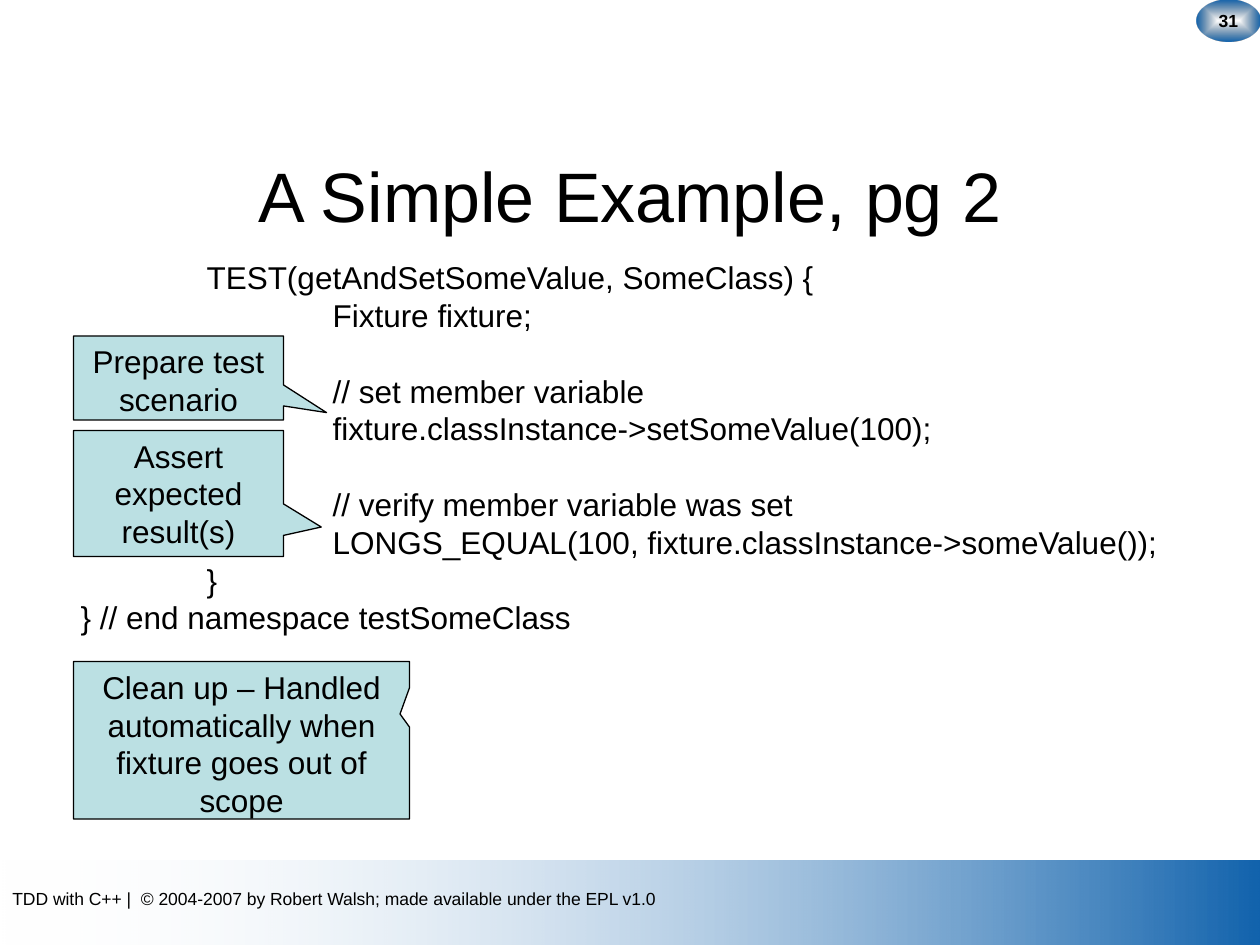
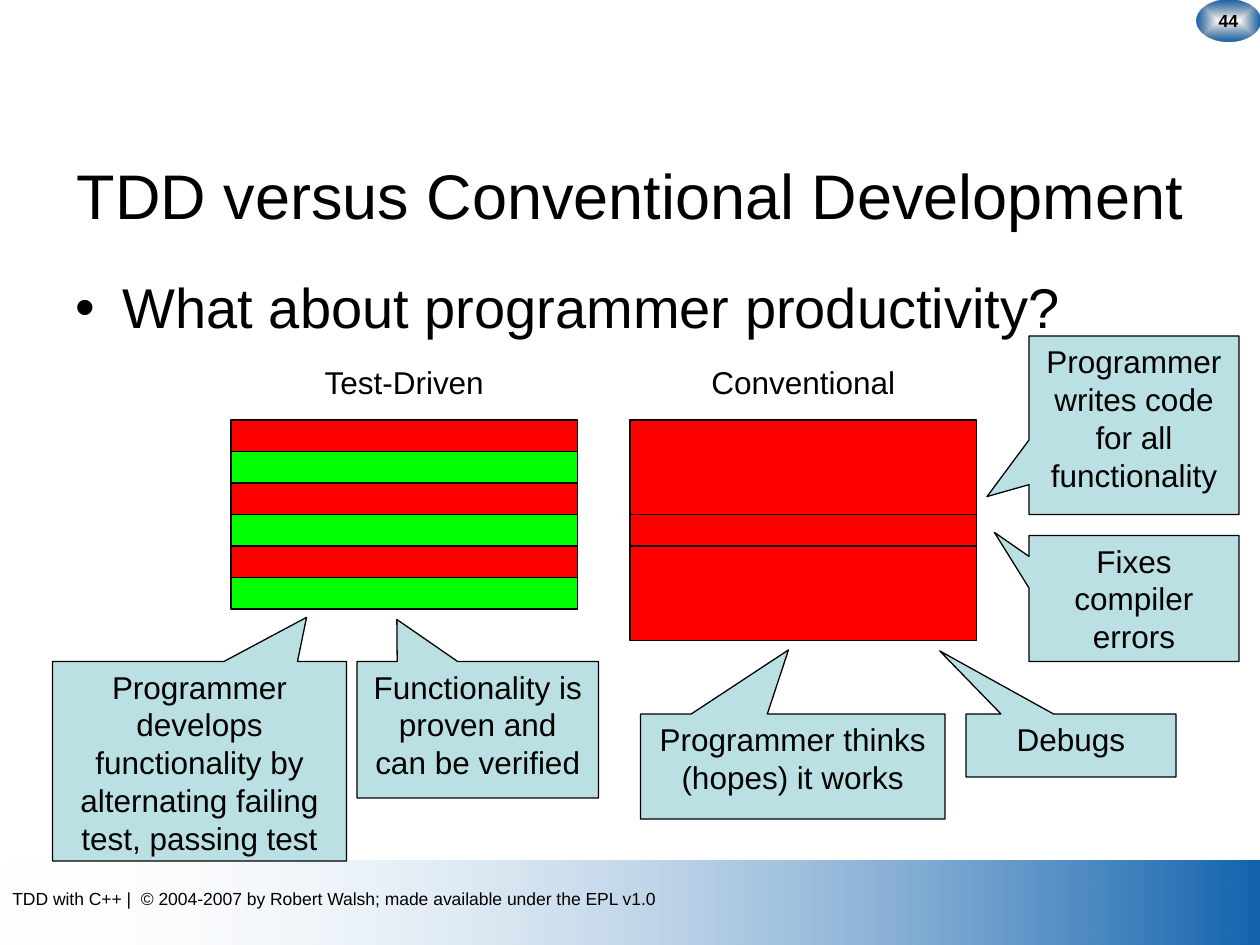
from pptx import Presentation
from pptx.dml.color import RGBColor
from pptx.enum.shapes import MSO_SHAPE as Shape
from pptx.enum.text import MSO_ANCHOR as Anchor, MSO_AUTO_SIZE as AutoSize, PP_ALIGN as Align
from pptx.oxml.ns import qn
from pptx.oxml.xmlchemy import OxmlElement
from pptx.util import Pt

PX = 7620
FONT = "Arial"
FOOTER = "TDD with C++ |  © 2004-2007 by Robert Walsh; made available under the EPL v1.0"
TITLE_ONLY, TITLE_AND_BODY = 5, 1
BODY_SIZE = 18
LINE_PITCH = Pt(21.6)

BLACK = RGBColor(0x00, 0x00, 0x00)
BLUE = RGBColor(0x12, 0x63, 0xAD)
NAVY = RGBColor(0x08, 0x2D, 0x4F)
PALE = RGBColor(0xFE, 0xFE, 0xFE)
CALLOUT_FILL = RGBColor(0xBB, 0xE0, 0xE3)
RED = RGBColor(0xFF, 0x00, 0x00)
GREEN = RGBColor(0x00, 0xFF, 0x00)


def px(*lengths):
    return [length * PX for length in lengths]


def style_paragraph(paragraph, text, size, align=Align.LEFT, bold=False):
    paragraph.text = text
    paragraph.alignment = align
    font = paragraph.font
    font.name, font.size, font.bold = FONT, Pt(size), bold
    font.color.rgb = BLACK
    if size == BODY_SIZE:
        paragraph.line_spacing = LINE_PITCH


def add_text(slide, box, text, size, align=Align.LEFT):
    frame = slide.shapes.add_textbox(*px(*box)).text_frame
    frame.word_wrap = True
    style_paragraph(frame.paragraphs[0], text, size, align)
    return frame


def fill_placeholder(placeholder, box, text, size, align, anchor):
    placeholder.left, placeholder.top, placeholder.width, placeholder.height = px(*box)
    frame = placeholder.text_frame
    frame.auto_size = AutoSize.NONE
    frame.vertical_anchor = anchor
    paragraph = frame.paragraphs[0]
    style_paragraph(paragraph, text, size, align)
    paragraph.space_before = Pt(0)


def add_gradient_shape(slide, kind, box, clear_color, end_color):
    shape = slide.shapes.add_shape(kind, *px(*box))
    shape.shadow.inherit = False
    shape.line.fill.background()
    shape.fill.gradient()
    shape.fill.gradient_angle = 0
    for stop, color in zip(shape.fill.gradient_stops, (clear_color, end_color)):
        stop.color.rgb = color
    alpha = OxmlElement("a:alpha")
    alpha.set("val", "0")
    next(shape._element.iter(qn("a:srgbClr"))).append(alpha)
    return shape


def radiate_from_centre(shape):
    linear = next(shape._element.iter(qn("a:lin")))
    radial = OxmlElement("a:path")
    radial.set("path", "rect")
    centre = OxmlElement("a:fillToRect")
    for side in "ltrb":
        centre.set(side, "50000")
    radial.append(centre)
    linear.getparent().replace(linear, radial)


def add_page_badge(slide, number):
    badge = add_gradient_shape(slide, Shape.OVAL, (1140, 0, 60, 40), NAVY, BLUE)
    radiate_from_centre(badge)
    frame = badge.text_frame
    frame.word_wrap = False
    frame.vertical_anchor = Anchor.MIDDLE
    style_paragraph(frame.paragraphs[0], str(number), 10, Align.CENTER, bold=True)


def start_slide(presentation, layout, number, title, title_size):
    slide = presentation.slides.add_slide(presentation.slide_layouts[layout])
    add_gradient_shape(slide, Shape.RECTANGLE, (0, 820, 1200, 80), PALE, BLUE)
    add_text(slide, (0, 840, 1080, 32), FOOTER, 10)
    add_page_badge(slide, number)
    fill_placeholder(slide.shapes.title, (60, 110, 1080, 150), title, title_size,
                     Align.CENTER, Anchor.MIDDLE)
    return slide


def add_solid_shape(slide, kind, box, color):
    shape = slide.shapes.add_shape(kind, *px(*box))
    shape.shadow.inherit = False
    shape.fill.solid()
    shape.fill.fore_color.rgb = color
    shape.line.color.rgb = BLACK
    shape.line.width = Pt(0.75)
    return shape


def add_callout(slide, box, tip, text):
    left, top, width, height = box
    callout = add_solid_shape(slide, Shape.RECTANGULAR_CALLOUT, box, CALLOUT_FILL)
    callout.adjustments[0] = (tip[0] - left) / width - 0.5
    callout.adjustments[1] = (tip[1] - top) / height - 0.5
    frame = callout.text_frame
    frame.vertical_anchor = Anchor.TOP
    style_paragraph(frame.paragraphs[0], text, BODY_SIZE, Align.CENTER)


def add_code(slide, box, blocks):
    frame = add_text(slide, box, "", BODY_SIZE)
    paragraph = frame.paragraphs[0]
    for block_index, block in enumerate(blocks):
        for line_index, (level, line) in enumerate(block):
            if block_index or line_index:
                paragraph = frame.add_paragraph()
            style_paragraph(paragraph, line, BODY_SIZE)
            paragraph._p.get_or_add_pPr().set("marL", str(level * 120 * PX))
            if block_index and not line_index:
                paragraph.space_before = LINE_PITCH


def add_stack(slide, left, caption, bars):
    top, width = 400, 330
    for height, color in bars:
        add_solid_shape(slide, Shape.RECTANGLE, (left, top, width, height), color)
        top += height
    add_text(slide, (left, 340, width, 48), caption, BODY_SIZE, Align.CENTER)


def build_example_slide(presentation):
    slide = start_slide(presentation, TITLE_ONLY, 31, "A Simple Example, pg 2", 40)
    add_code(slide, (65, 240, 1070, 408), [
        [(1, "TEST(getAndSetSomeValue, SomeClass) {"),
         (2, "Fixture fixture;")],
        [(2, "// set member variable"),
         (2, "fixture.classInstance->setSomeValue(100);")],
        [(2, "// verify member variable was set"),
         (2, "LONGS_EQUAL(100, fixture.classInstance->someValue());"),
         (1, "}"),
         (0, "} // end namespace testSomeClass")],
    ])
    for box, tip, text in [
        ((70, 320, 200, 80), (311, 393), "Prepare test scenario"),
        ((70, 410, 200, 120), (306, 502), "Assert expected result(s)"),
        ((70, 630, 320, 150), (381, 680),
         "Clean up – Handled automatically when fixture goes out of scope"),
    ]:
        add_callout(slide, box, tip, text)


def build_comparison_slide(presentation):
    slide = start_slide(presentation, TITLE_AND_BODY, 44,
                        "TDD versus Conventional Development", 36)
    fill_placeholder(slide.placeholders[1], (60, 254, 1080, 594),
                     "What about programmer productivity?", 32, Align.LEFT, Anchor.TOP)
    add_stack(slide, 220, "Test-Driven", [(30, RED), (30, GREEN)] * 3)
    add_stack(slide, 600, "Conventional", [(90, RED), (30, RED), (90, RED)])
    for box, tip, text in [
        ((50, 630, 280, 190), (292, 588),
         "Programmer develops functionality by alternating failing test, passing test"),
        ((980, 320, 200, 170), (940, 473), "Programmer writes code for all functionality"),
        ((980, 510, 200, 120), (947, 507), "Fixes compiler errors"),
        ((920, 680, 200, 60), (895, 620), "Debugs"),
        ((340, 630, 230, 130), (378, 590), "Functionality is proven and can be verified"),
        ((610, 680, 290, 100), (751, 619), "Programmer thinks (hopes) it works"),
    ]:
        add_callout(slide, box, tip, text)


def main():
    presentation = Presentation()
    presentation.slide_width, presentation.slide_height = px(1200, 900)
    build_example_slide(presentation)
    build_comparison_slide(presentation)
    presentation.save("out.pptx")


if __name__ == "__main__":
    main()
